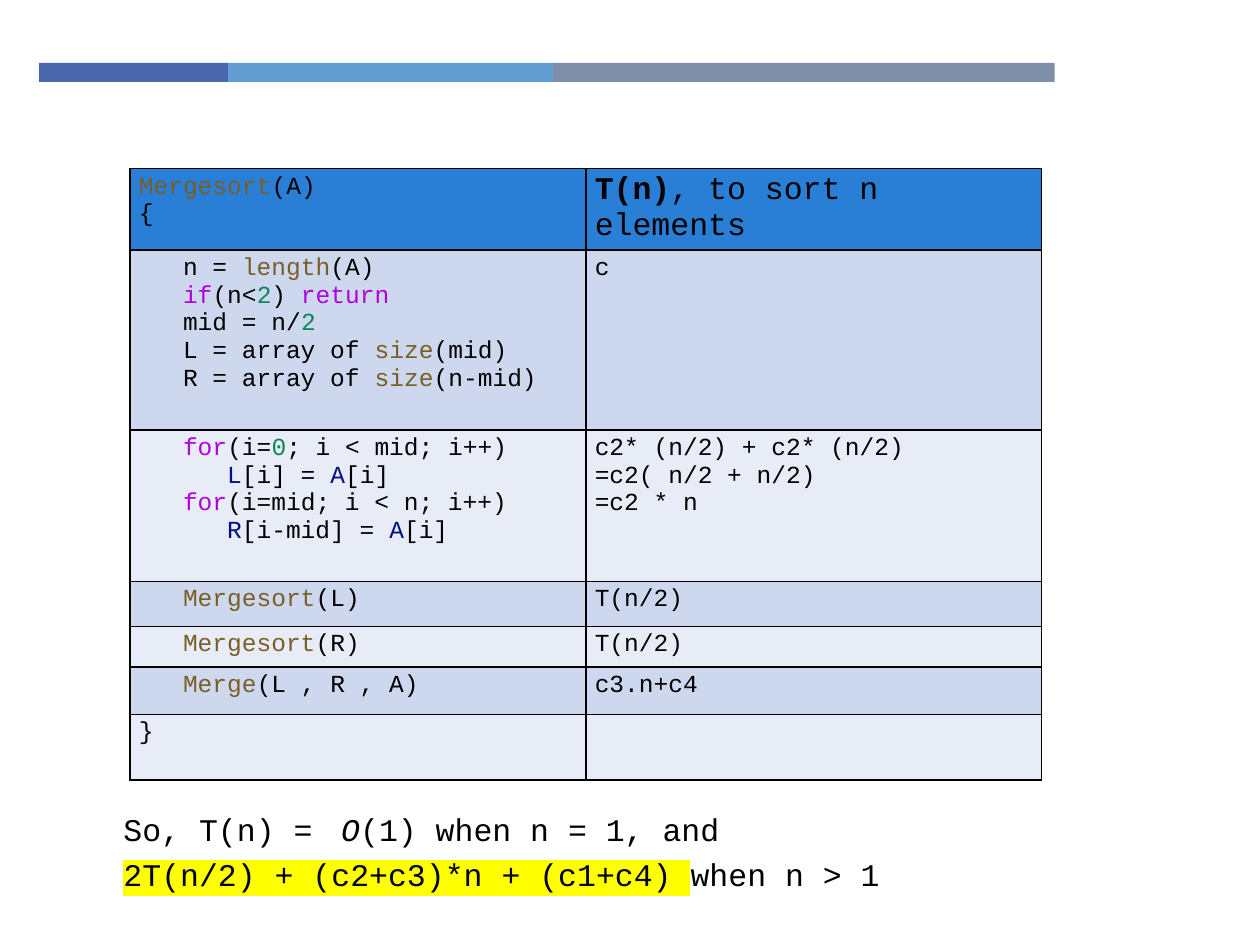
import pptx
import pptx.util
import pptx.dml.color
import pptx.enum.shapes
import pptx.enum.text
import lxml.etree
import pptx.oxml.ns

Cm = pptx.util.Cm
Pt = pptx.util.Pt

COLORS = {
    "plain": "000000", "function": "795E26", "keyword": "AF00DB",
    "number": "098658", "variable": "001080",
    "header": "297FD5", "dark band": "CDD8EF", "light band": "E8ECF7",
    "highlight": "FFFF00",
    "blue": "4A66AC", "sky": "629DD1", "slate": "7F8FA9",
}
FONT = "Courier New"

BARS = [("blue", 3.81), ("sky", 6.55), ("slate", 10.11)]

# Each row: height, code lines (indent level, spans), cost lines.
ROWS = [
    (1.63,
     [(0, [("Mergesort", "function"), ("(A)", "plain")]),
      (0, [("{", "plain")])],
     []),
    (3.63,
     [(1, [("n = ", "plain"), ("length", "function"), ("(A)", "plain")]),
      (1, [("if", "keyword"), ("(n<", "plain"), ("2", "number"),
           (") ", "plain"), ("return", "keyword")]),
      (1, [("mid = n/", "plain"), ("2", "number")]),
      (1, [("L = array of ", "plain"), ("size", "function"), ("(mid)", "plain")]),
      (1, [("R = array of ", "plain"), ("size", "function"), ("(n-mid)", "plain")])],
     ["c"]),
    (3.05,
     [(1, [("for", "keyword"), ("(i=", "plain"), ("0", "number"),
           ("; i < mid; i++)", "plain")]),
      (2, [("L", "variable"), ("[i] = ", "plain"), ("A", "variable"), ("[i]", "plain")]),
      (1, [("for", "keyword"), ("(i=mid; i < n; i++)", "plain")]),
      (2, [("R", "variable"), ("[i-mid] = ", "plain"), ("A", "variable"), ("[i]", "plain")])],
     ["c2* (n/2) + c2* (n/2)", "=c2( n/2 + n/2)", "=c2 * n"]),
    (0.91, [(1, [("Mergesort", "function"), ("(L)", "plain")])], ["T(n/2)"]),
    (0.81, [(1, [("Mergesort", "function"), ("(R)", "plain")])], ["T(n/2)"]),
    (0.96, [(1, [("Merge", "function"), ("(L , R , A)", "plain")])], ["c3.n+c4"]),
    (1.32, [(0, [("}", "plain")])], []),
]
COST_HEADING = [("T(n)", True), (", to sort n elements", False)]
INDENT = 0.89
COLUMN_WIDTH = 9.19


def color(name):
    return pptx.dml.color.RGBColor.from_string(COLORS[name])


def child(parent, tag, **attributes):
    return lxml.etree.SubElement(parent, pptx.oxml.ns.qn(tag), attributes)


def set_font(para, size):
    para.font.name = FONT
    para.font.size = Pt(size)


def add_span(para, text, color_name="plain"):
    span = para.add_run()
    span.text = text
    span.font.color.rgb = color(color_name)
    return span


def style_cell(cell, fill_name):
    properties = cell._tc.get_or_add_tcPr()
    for tag in ("a:lnL", "a:lnR", "a:lnT", "a:lnB"):
        line = child(properties, tag, w=str(Pt(1)))
        child(child(line, "a:solidFill"), "a:srgbClr", val=COLORS["plain"])
    cell.fill.solid()
    cell.fill.fore_color.rgb = color(fill_name)
    cell.margin_left = cell.margin_right = Cm(0.18)
    cell.margin_top = cell.margin_bottom = Cm(0.1)


def fill_lines(cell, lines, size=14):
    frame = cell.text_frame
    for index, (level, spans) in enumerate(lines):
        para = frame.add_paragraph() if index else frame.paragraphs[0]
        set_font(para, size)
        if level:
            para._p.get_or_add_pPr().set("marL", str(Cm(level * INDENT)))
        for text, color_name in spans:
            add_span(para, text, color_name)


def add_bars(slide):
    left = 0.79
    for name, width in BARS:
        bar = slide.shapes.add_shape(pptx.enum.shapes.MSO_SHAPE.RECTANGLE,
                                     Cm(left), Cm(1.27), Cm(width), Cm(0.38))
        bar.shadow.inherit = False
        bar.fill.solid()
        bar.fill.fore_color.rgb = color(name)
        bar.line.fill.background()
        left += width


def add_cost_table(slide):
    height = sum(row[0] for row in ROWS)
    table = slide.shapes.add_table(len(ROWS), 2, Cm(2.62), Cm(3.4),
                                   Cm(2 * COLUMN_WIDTH), Cm(height)).table
    table.first_row = False
    table.horz_banding = False
    for column in table.columns:
        column.width = Cm(COLUMN_WIDTH)
    for index, (row_height, code, costs) in enumerate(ROWS):
        table.rows[index].height = Cm(row_height)
        band = "header" if index == 0 else "dark band" if index % 2 else "light band"
        for cell in table.rows[index].cells:
            style_cell(cell, band)
        fill_lines(table.cell(index, 0), code)
        fill_lines(table.cell(index, 1), [(0, [(cost, "plain")]) for cost in costs])
    heading = table.cell(0, 1).text_frame.paragraphs[0]
    set_font(heading, 18)
    for text, bold in COST_HEADING:
        add_span(heading, text).font.bold = bold


def add_conclusion(slide):
    box = slide.shapes.add_textbox(Cm(2.24), Cm(16.05), Cm(20.62), Cm(2.03))
    frame = box.text_frame
    frame.word_wrap = True
    frame.auto_size = pptx.enum.text.MSO_AUTO_SIZE.SHAPE_TO_FIT_TEXT
    para = frame.paragraphs[0]
    para.line_spacing = 1.2
    set_font(para, 18)
    tabs = lxml.etree.Element(pptx.oxml.ns.qn("a:tabLst"))
    child(tabs, "a:tab", pos=str(Cm(4.39)), algn="l")
    para._p.get_or_add_pPr().find(pptx.oxml.ns.qn("a:defRPr")).addprevious(tabs)
    add_span(para, "So, T(n) = \t")
    add_span(para, "O").font.italic = True
    add_span(para, "(1) when n = 1, and")
    para.add_line_break()
    recurrence = add_span(para, "2T(n/2) + (c2+c3)*n + (c1+c4) ")
    mark = child(recurrence._r.get_or_add_rPr(), "a:highlight")
    child(mark, "a:srgbClr", val=COLORS["highlight"])
    add_span(para, "when n > 1")


def main():
    deck = pptx.Presentation()
    deck.slide_width = Cm(25.4)
    deck.slide_height = Cm(19.05)
    slide = deck.slides.add_slide(deck.slide_layouts[6])
    add_bars(slide)
    add_cost_table(slide)
    add_conclusion(slide)
    deck.save("out.pptx")


if __name__ == "__main__":
    main()
